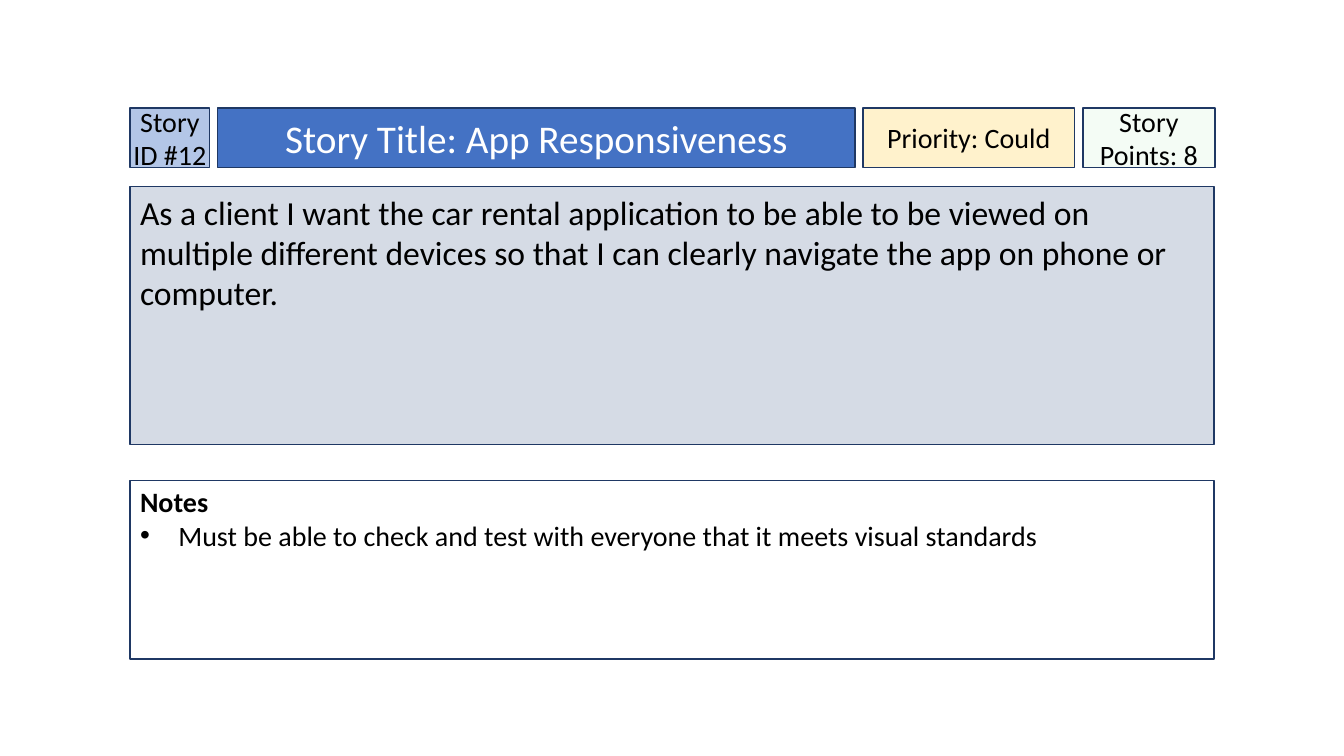
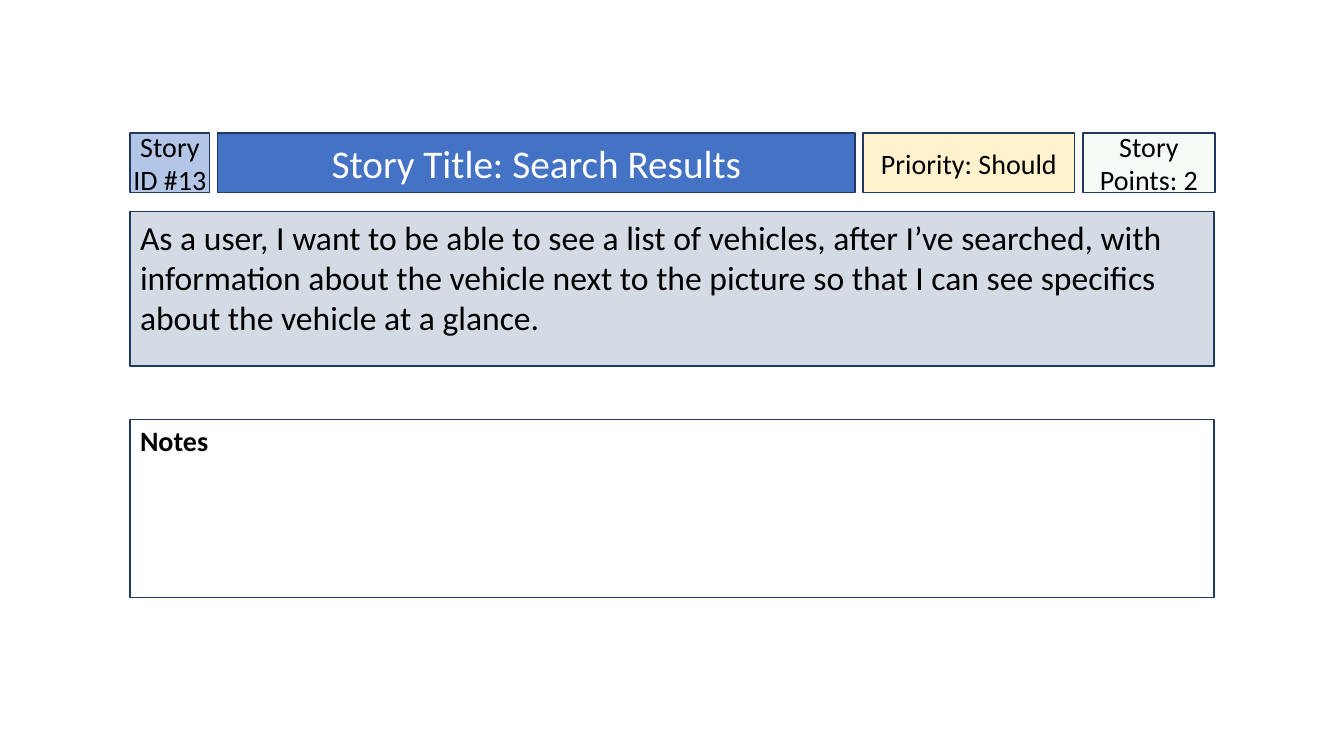
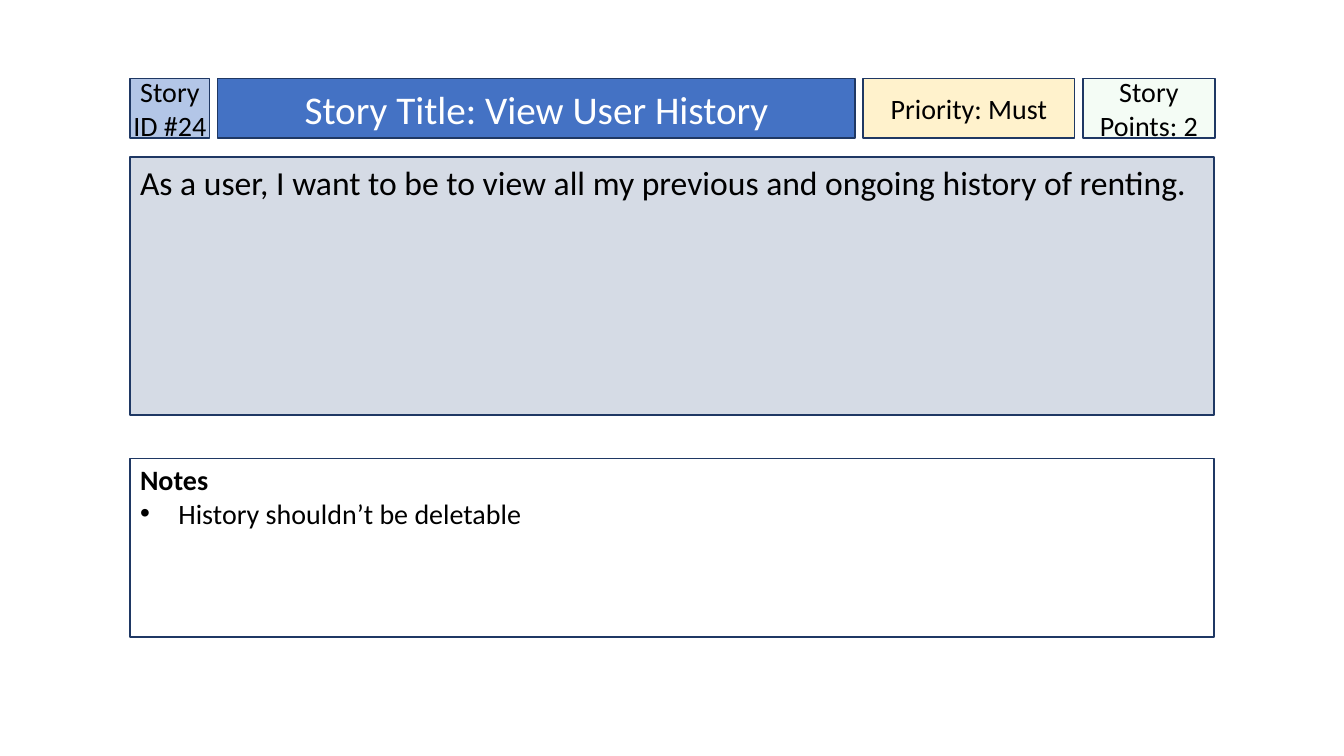
import lxml.etree
import pptx
import pptx.dml.color
import pptx.enum.shapes
import pptx.enum.text
import pptx.oxml.ns
import pptx.util

Inches = pptx.util.Inches
Pt = pptx.util.Pt
qn = pptx.oxml.ns.qn
ALIGN = pptx.enum.text.PP_ALIGN
ANCHOR = pptx.enum.text.MSO_ANCHOR


def color(value):
    return pptx.dml.color.RGBColor.from_string(value)


def write(para, text, size=20, ink="000000", bold=False, align=ALIGN.LEFT, bullet=False):
    para.alignment = align
    span = para.add_run()
    span.text = text
    span.font.name = "Calibri"
    span.font.size = Pt(size)
    span.font.bold = bold
    span.font.color.rgb = color(ink)
    if bullet:
        props = para._p.get_or_add_pPr()
        props.set("marL", str(Inches(0.38)))
        props.set("indent", str(-Inches(0.38)))
        tint = lxml.etree.SubElement(props, qn("a:buClr"))
        lxml.etree.SubElement(tint, qn("a:srgbClr"), val=ink)
        lxml.etree.SubElement(props, qn("a:buFont"), typeface="Arial")
        lxml.etree.SubElement(props, qn("a:buChar"), char="•")


class StoryDeck:
    left, width = 1.29, 10.75
    gap, header_height = 0.08, 0.59
    story_offset, remarks_height = 0.78, 1.77
    outline = "1F3864"

    def __init__(self):
        self.deck = pptx.Presentation()
        self.deck.slide_width = Inches(13.33)
        self.deck.slide_height = Inches(7.5)
        self.page = None

    def box(self, left, top, width, height, fill, side=0.1, upper=0.05,
            anchor=ANCHOR.TOP, opacity=None):
        shape = self.page.shapes.add_shape(
            pptx.enum.shapes.MSO_SHAPE.RECTANGLE,
            Inches(left), Inches(top), Inches(width), Inches(height))
        shape.shadow.inherit = False
        shape.fill.solid()
        shape.fill.fore_color.rgb = color(fill)
        if opacity is not None:
            tint = shape.element.spPr.find(qn("a:solidFill"))[0]
            lxml.etree.SubElement(tint, qn("a:alpha"), val=str(opacity * 1000))
        shape.line.color.rgb = color(self.outline)
        shape.line.width = Pt(1)
        frame = shape.text_frame
        frame.word_wrap = True
        frame.vertical_anchor = anchor
        frame.margin_left = frame.margin_right = Inches(side)
        frame.margin_top, frame.margin_bottom = Inches(upper), Inches(0.05)
        return frame

    def header(self, top, number, title, priority, points):
        cells = [
            (0.79, f"Story ID #{number}", "B3C6E7", {}, {}),
            (6.32, f"Story Title: {title}", "4472C4", {"side": 0.1},
             {"size": 28, "ink": "FFFFFF"}),
            (2.1, f"Priority: {priority}", "FFF2CC", {}, {}),
            (1.31, f"Story Points: {points}", "CCF0CD", {"opacity": 20}, {}),
        ]
        left = self.left
        for width, text, fill, box_style, text_style in cells:
            frame = self.box(left, top, width, self.header_height, fill,
                             anchor=ANCHOR.MIDDLE, **{"side": 0, **box_style})
            write(frame.paragraphs[0], text, align=ALIGN.CENTER, **text_style)
            left += width + self.gap

    def story(self, top, height, text):
        frame = self.box(self.left, top, self.width, height, "D5DBE5")
        write(frame.paragraphs[0], text, size=24)

    def remarks(self, top, items):
        frame = self.box(self.left, top, self.width, self.remarks_height, "FFFFFF", upper=0.04)
        write(frame.paragraphs[0], "Notes", bold=True)
        for item in items:
            write(frame.add_paragraph(), item, bullet=True)

    def card(self, top, number, title, priority, points, story, story_height,
             remarks_top, remarks):
        self.page = self.deck.slides.add_slide(self.deck.slide_layouts[6])
        self.header(top, number, title, priority, points)
        self.story(top + self.story_offset, story_height, story)
        self.remarks(remarks_top, remarks)


stories = StoryDeck()
stories.card(
    top=1.07, number=12, title="App Responsiveness", priority="Could", points=8,
    story="As a client I want the car rental application to be able to be viewed on "
          "multiple different devices so that I can clearly navigate the app on phone "
          "or computer.",
    story_height=2.56, remarks_top=4.77,
    remarks=["Must be able to check and test with everyone that it meets visual standards"])
stories.card(
    top=1.32, number=13, title="Search Results", priority="Should", points=2,
    story="As a user, I want to be able to see a list of vehicles, after I’ve searched, "
          "with information about the vehicle next to the picture so that I can see "
          "specifics about the vehicle at a glance.",
    story_height=1.53, remarks_top=4.16, remarks=[])
stories.card(
    top=0.78, number=24, title="View User History", priority="Must", points=2,
    story="As a user, I want to be to view all my previous and ongoing history of renting.",
    story_height=2.56, remarks_top=4.55, remarks=["History shouldn’t be deletable"])
stories.deck.save("out.pptx")
